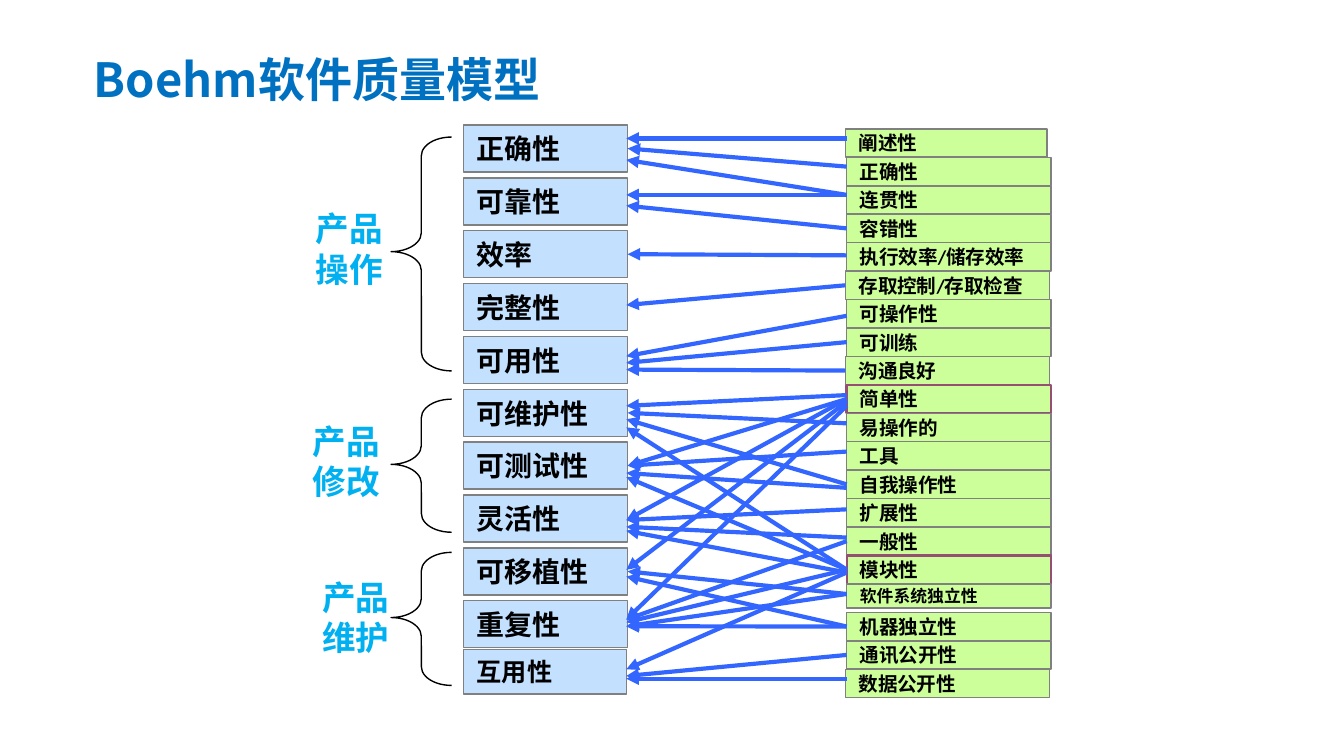
from lxml import etree
from pptx import Presentation
from pptx.dml.color import RGBColor
from pptx.enum.shapes import MSO_CONNECTOR, MSO_SHAPE
from pptx.enum.text import MSO_ANCHOR, PP_ALIGN
from pptx.oxml.ns import qn
from pptx.util import Inches, Pt

RECT, BRACE = MSO_SHAPE.RECTANGLE, MSO_SHAPE.LEFT_BRACE
STRAIGHT = MSO_CONNECTOR.STRAIGHT
TOP, MIDDLE = MSO_ANCHOR.TOP, MSO_ANCHOR.MIDDLE
LEFT = PP_ALIGN.LEFT
CJK = "Noto Sans CJK SC"
LEFT_SIDE, RIGHT_SIDE = 1, 3

TITLE = "Boehm软件质量模型"
FACTORS = ["正确性", "可靠性", "效率", "完整性", "可用性", "可维护性",
           "可测试性", "灵活性", "可移植性", "重复性", "互用性"]
CRITERIA = ["阐述性", "正确性", "连贯性", "容错性", "执行效率/储存效率",
            "存取控制/存取检查", "可操作性", "可训练", "沟通良好", "简单性",
            "易操作的", "工具", "自我操作性", "扩展性", "一般性", "模块性",
            "软件系统独立性", "机器独立性", "通讯公开性", "数据公开性"]
ACCENTS = {"简单性": 1.5, "模块性": 1.25}
OUTDENTED = {"阐述性", "存取控制/存取检查", "沟通良好", "数据公开性"}

LINKS = {
    "正确性": [("阐述性", 1.03, 1.03), ("正确性", 1.24, 1.11), ("连贯性", 1.45, 1.19)],
    "可靠性": [("连贯性", 1.45, 1.45), ("容错性", 1.69, 1.53)],
    "效率": [("执行效率/储存效率", 1.9, 1.9)],
    "完整性": [("存取控制/存取检查", 2.12, 2.27)],
    "可用性": [("可操作性", 2.35, 2.65), ("可训练", 2.54, 2.7), ("沟通良好", 2.75, 2.75)],
    "可维护性": [("简单性", 2.94, 3.02), ("易操作的", 3.15, 3.07),
             ("自我操作性", 3.6, 3.12), ("模块性", 4.24, 3.18)],
    "可测试性": [("简单性", 2.96, 3.47), ("工具", 3.36, 3.47),
             ("自我操作性", 3.63, 3.52), ("模块性", 4.24, 3.55)],
    "灵活性": [("简单性", 2.96, 3.87), ("扩展性", 3.79, 3.87),
            ("一般性", 4, 3.92), ("模块性", 4.26, 3.95)],
    "可移植性": [("简单性", 2.99, 4.24), ("软件系统独立性", 4.42, 4.26),
             ("机器独立性", 4.66, 4.29)],
    "重复性": [("简单性", 3.02, 4.61), ("一般性", 4.03, 4.61), ("模块性", 4.24, 4.63),
            ("软件系统独立性", 4.42, 4.66), ("机器独立性", 4.66, 4.66)],
    "互用性": [("模块性", 4.26, 4.98), ("通讯公开性", 4.87, 5.03), ("数据公开性", 5.05, 5.05)],
}
GROUPS = [("产品操作", (2.25, 1.5, 0.86, 0.71), 1.02, 1.74),
          ("产品修改", (2.23, 3.08, 0.74, 0.71), 2.97, 0.99),
          ("产品维护", (2.3, 4.24, 0.73, 0.71), 4.11, 0.99)]

FACTOR_X, FACTOR_Y, FACTOR_STEP = 3.45, 0.93, (4.47 - 0.93) / 9
CRITERION_X, CRITERION_Y, CRITERION_STEP = 6.3, 0.96, (4.98 - 0.96) / 19
LINK_START, LINK_END = 6.3, 4.66
SNAP = Inches(0.01)


def rgb(color):
    return RGBColor.from_string(color)


def write(s, text, size, color, font, anchor, pad=0.0):
    tf = s.text_frame
    tf.word_wrap = True
    tf.vertical_anchor = anchor
    tf.margin_left = tf.margin_right = Inches(0.1)
    tf.margin_top = tf.margin_bottom = Inches(pad)
    p = tf.paragraphs[0]
    p.text = text
    p.alignment = LEFT
    p.font.size, p.font.bold, p.font.name = Pt(size), True, font
    p.font.color.rgb = rgb(color)
    etree.SubElement(p._p.pPr.find(qn("a:defRPr")), qn("a:ea"), typeface=CJK)
    return p


def add_text(box, text, size, color, anchor):
    s = slide.shapes.add_textbox(*map(Inches, box))
    return write(s, text, size, color, CJK, anchor, 0.05)


def add_box(box, text, size, fill, line="808080", width=0.75):
    s = slide.shapes.add_shape(RECT, *map(Inches, box))
    s.shadow.inherit = False
    s.fill.solid()
    s.fill.fore_color.rgb = rgb(fill)
    s.line.color.rgb = rgb(line)
    s.line.width = Pt(width)
    write(s, text, size, "000000", "Calibri", MIDDLE)
    return s


def at_middle(s, y):
    return abs(s.top + s.height / 2 - Inches(y)) < SNAP


def add_arrow(source, y1, target, y2):
    c = slide.shapes.add_connector(STRAIGHT, *map(Inches, (LINK_START, y1, LINK_END, y2)))
    if at_middle(source, y1):
        c.begin_connect(source, LEFT_SIDE)
    if at_middle(target, y2):
        c.end_connect(target, RIGHT_SIDE)
    c.line.color.rgb = rgb("3366FF")
    c.line.width = Pt(2.25)
    props = c._element.spPr
    etree.SubElement(props.find(qn("a:ln")), qn("a:tailEnd"), type="triangle")
    etree.SubElement(props, qn("a:effectLst"))


def add_brace(top, height):
    s = slide.shapes.add_shape(BRACE, *map(Inches, (2.91, top, 0.45, height)))
    s.shadow.inherit = False
    s.adjustments[0], s.adjustments[1] = 0.31, 0.49
    s.fill.background()
    s.line.color.rgb = rgb("000000")
    s.line.width = Pt(0.75)


prs = Presentation()
prs.slide_width, prs.slide_height = Inches(10), Inches(10 * 9 / 16)
slide = prs.slides.add_slide(prs.slide_layouts[6])

p = add_text((0.6, 0.36, 4.92, 0.5), TITLE, 25.2, "0070C0", MIDDLE)
p.line_spacing = 0.9

factors = {}
for i, name in enumerate(FACTORS):
    y = FACTOR_Y + i * FACTOR_STEP
    if name == FACTORS[-1]:
        box, size = (FACTOR_X, y - 0.03, 1.21, 0.33), 13.5
    else:
        box, size = (FACTOR_X, y, 1.22, 0.35), 15
    factors[name] = add_box(box, name, size, "C3E1FF")

criteria = {}
for i, name in enumerate(CRITERIA):
    x = CRITERION_X - (0.01 if name in OUTDENTED else 0)
    w = 1.5 if i == 0 else 1.52
    h, size = (0.18, 9) if name == "软件系统独立性" else (0.21, 10.5)
    line = "954F72" if name in ACCENTS else "808080"
    criteria[name] = add_box((x, CRITERION_Y + i * CRITERION_STEP, w, h), name, size,
                             "CCFF99", line, ACCENTS.get(name, 0.75))

for factor, links in LINKS.items():
    for criterion, y1, y2 in links:
        add_arrow(criteria[criterion], y1, factors[factor], y2)

for label, box, top, height in GROUPS:
    add_text(box, label, 18, "00B0F0", TOP)
    add_brace(top, height)

prs.save("out.pptx")
